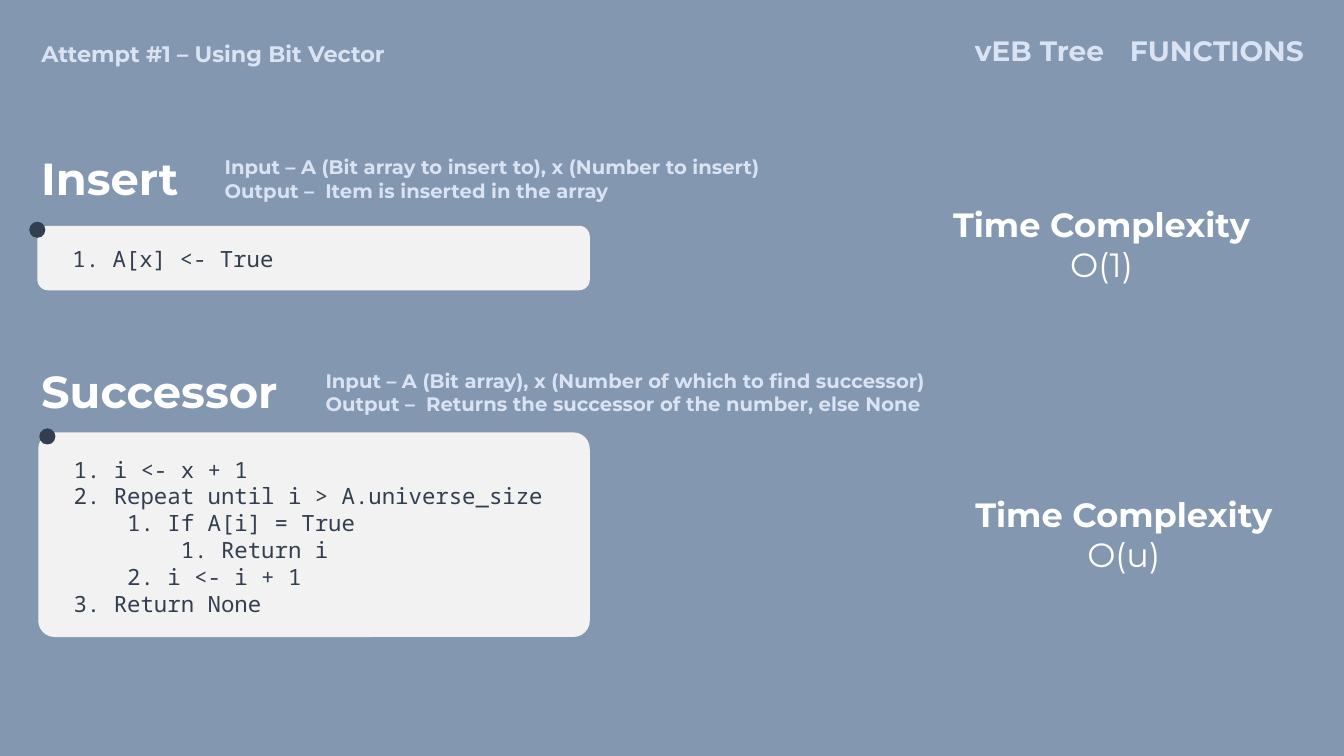
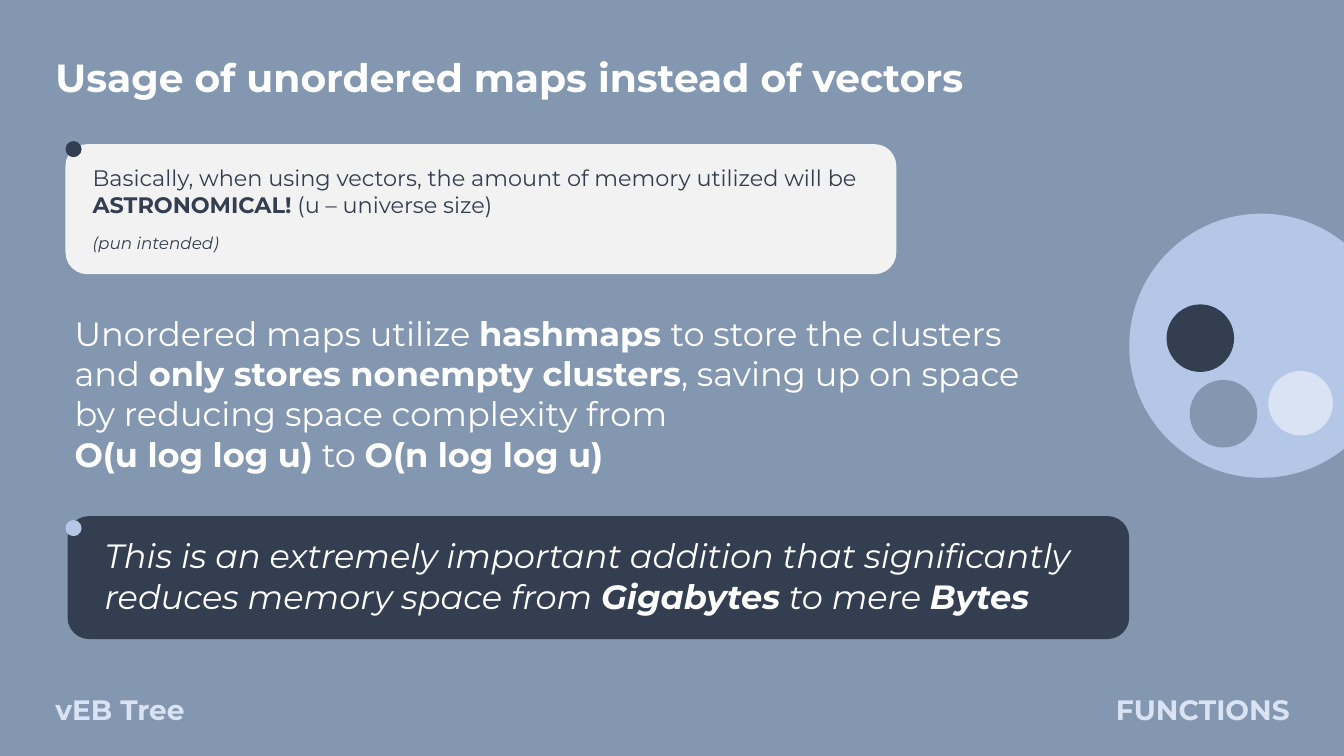
from dataclasses import dataclass
from typing import NamedTuple

from pptx import Presentation
from pptx.dml.color import RGBColor
from pptx.enum.shapes import MSO_SHAPE
from pptx.enum.text import MSO_ANCHOR, MSO_AUTO_SIZE, PP_ALIGN
from pptx.oxml.xmlchemy import OxmlElement
from pptx.util import Inches, Pt

BLUE_GREY, NAVY, PAPER = "8497B0", "333F50", "F2F2F2"
WHITE, PALE, SKY = "FFFFFF", "DAE3F3", "B4C7E7"


class Area(NamedTuple):
    """Left, top, width and height in inches."""
    left: float
    top: float
    width: float
    height: float


@dataclass(frozen=True)
class Style:
    """Look of a block of text."""
    size: int
    color: str
    bold: bool = False
    italic: bool = False
    name: str = "Montserrat"
    align: PP_ALIGN = PP_ALIGN.LEFT


@dataclass(frozen=True)
class Text:
    """Lines of text, with double asterisks around bold words."""
    area: Area
    style: Style
    lines: tuple[str, ...]


@dataclass(frozen=True)
class Form:
    """A filled preset shape."""
    area: Area
    color: str
    kind: MSO_SHAPE = MSO_SHAPE.OVAL
    corner: float | None = None


CAPTION = Style(16, PALE, bold=True)
TITLE = Style(28, WHITE, bold=True)
HEADING = Style(32, WHITE, bold=True)
DETAIL = Style(14, PALE, bold=True)
COMPLEXITY = Style(24, WHITE, align=PP_ALIGN.CENTER)
CODE = Style(16, NAVY, name="Noto Sans Mono")
BODY = Style(24, WHITE)
REMARK = Style(16, NAVY)
ASIDE = Style(12, NAVY, italic=True)
QUOTE = Style(24, WHITE, italic=True)
LABEL = Style(20, PALE, bold=True)
LABEL_RIGHT = Style(20, PALE, bold=True, align=PP_ALIGN.RIGHT)


def rgb(color: str) -> RGBColor:
    """Turn a hex string into a colour."""
    return RGBColor.from_string(color)


def set_values(target, values: dict) -> None:
    """Set each named attribute of the target."""
    for name, value in values.items():
        setattr(target, name, value)


def fill_text(box, text: Text) -> None:
    """Place a box and write its formatted paragraphs."""
    style, frame = text.style, box.text_frame
    set_values(box, {key: Inches(value) for key, value in text.area._asdict().items()})
    set_values(frame, {"word_wrap": True, "vertical_anchor": MSO_ANCHOR.TOP,
                       "auto_size": MSO_AUTO_SIZE.SHAPE_TO_FIT_TEXT})
    for index, line in enumerate(text.lines):
        para = frame.add_paragraph() if index else frame.paragraphs[0]
        if box.is_placeholder:
            properties = para._p.get_or_add_pPr()
            properties.set("marL", "0")
            properties.set("indent", "0")
            properties.append(OxmlElement("a:buNone"))
        set_values(para, {"alignment": style.align, "space_before": Pt(0)})
        for position, words in enumerate(line.split("**")):
            if words:
                span = para.add_run()
                span.text = words
                set_values(span.font, {"name": style.name, "size": Pt(style.size),
                                       "bold": style.bold or position % 2 == 1,
                                       "italic": style.italic})
                span.font.color.rgb = rgb(style.color)


def add_text(page, text: Text) -> None:
    """Add a text box."""
    fill_text(page.shapes.add_textbox(*map(Inches, text.area)), text)


def add_form(page, form: Form) -> None:
    """Add a plain filled shape."""
    shape = page.shapes.add_shape(form.kind, *map(Inches, form.area))
    shape.shadow.inherit = False
    shape.fill.solid()
    shape.fill.fore_color.rgb = rgb(form.color)
    shape.line.fill.background()
    if form.corner is not None:
        shape.adjustments[0] = form.corner


def card(area: Area, color: str, corner: float | None = None) -> Form:
    """Describe a rounded panel."""
    return Form(area, color, MSO_SHAPE.ROUNDED_RECTANGLE, corner)


def circle(left: float, top: float, size: float, color: str) -> Form:
    """Describe a round shape."""
    return Form(Area(left, top, size, size), color)


def dot(left: float, top: float, color: str = NAVY) -> Form:
    """Describe the small dot on a panel corner."""
    return circle(left, top, 0.16, color)


def add_page(deck, title: Text, body: Text, forms: list[Form], texts: list[Text],
             topic_left: float, section_left: float, label_top: float) -> None:
    """Add a slide with its title, body, shapes, texts and running labels."""
    page = deck.slides.add_slide(deck.slide_layouts[1])
    for form in forms:
        add_form(page, form)
    fill_text(page.shapes.title, title)
    fill_text(page.placeholders[1], body)
    for placeholder in page.placeholders:
        page.shapes._spTree.append(placeholder._element)
    labels = [Text(Area(topic_left, label_top, 1.49, 0.44), LABEL, ("vEB Tree",)),
              Text(Area(section_left, label_top, 2.02, 0.44), LABEL_RIGHT, ("FUNCTIONS",))]
    for text in texts + labels:
        add_text(page, text)


def add_bit_vector_page(deck) -> None:
    """Add the slide on insert and successor with a bit vector."""
    add_page(
        deck,
        Text(Area(0.31, 0.35, 3.73, 0.37), CAPTION, ("Attempt #1 – Using Bit Vector",)),
        Text(Area(0.63, 4.47, 5.31, 1.72), CODE, (
            "1. i <- x + 1",
            "2. Repeat until i > A.universe_size",
            "    1. If A[i] = True",
            "        1. Return i",
            "    2. i <- i + 1",
            "3. Return None")),
        [card(Area(0.37, 2.24, 5.48, 0.64), PAPER), dot(0.29, 2.2),
         card(Area(0.38, 4.29, 5.47, 2.03), PAPER, 0.08), dot(0.39, 4.25)],
        [Text(Area(0.31, 1.45, 3.73, 0.64), HEADING, ("Insert",)),
         Text(Area(2.13, 1.49, 6.83, 0.57), DETAIL, (
             "Input – A (Bit array to insert to), x (Number to insert)",
             "Output –  Item is inserted in the array")),
         Text(Area(0.62, 2.38, 2.36, 0.37), CODE, ("1. A[x] <- True",)),
         Text(Area(8.96, 1.97, 3.93, 0.91), COMPLEXITY, ("**Time Complexity**", "O(1)")),
         Text(Area(0.31, 3.56, 3.73, 0.64), HEADING, ("Successor",)),
         Text(Area(3.13, 3.61, 6.45, 0.57), DETAIL, (
             "Input – A (Bit array), x (Number of which to find successor)",
             "Output –  Returns the successor of the number, else None")),
         Text(Area(9.1, 4.85, 4.09, 0.91), COMPLEXITY, ("**Time Complexity**", "O(u)"))],
        topic_left=9.57, section_left=11.01, label_top=0.28)


def add_unordered_map_page(deck) -> None:
    """Add the slide on unordered maps."""
    add_page(
        deck,
        Text(Area(0.45, 0.48, 9.74, 0.57), TITLE,
             ("Usage of unordered maps instead of vectors",)),
        Text(Area(0.64, 3.05, 9.95, 1.72), BODY, (
            "Unordered maps utilize **hashmaps **to store the clusters and "
            "**only stores nonempty clusters**, saving up on space by reducing "
            "space complexity from",
            "**O(u log log u)** to **O(n log log u)**")),
        [card(Area(0.67, 5.12, 10.53, 1.22), NAVY, 0.175), dot(0.65, 5.16, SKY),
         card(Area(0.65, 1.43, 8.24, 1.29), PAPER), dot(0.65, 1.4),
         circle(11.2, 2.12, 2.62, SKY), circle(11.8, 3.77, 0.67, BLUE_GREY),
         circle(12.58, 3.68, 0.64, PALE), circle(11.57, 3.02, 0.67, NAVY)],
        [Text(Area(0.82, 1.58, 7.81, 0.64), REMARK, (
            "Basically, when using vectors, the amount of memory utilized will be "
            "**ASTRONOMICAL!** (u – universe size)",)),
         Text(Area(0.82, 2.26, 1.88, 0.3), ASIDE, ("(pun intended)",)),
         Text(Area(0.94, 5.26, 9.95, 0.91), QUOTE, (
             "This is an extremely important addition that significantly reduces "
             "memory space from **Gigabytes** to mere **Bytes**",))],
        topic_left=0.45, section_left=10.87, label_top=6.82)


def main() -> None:
    """Build and save the deck."""
    deck = Presentation()
    set_values(deck, {"slide_width": Inches(13.33), "slide_height": Inches(7.5)})
    background = deck.slide_master.background.fill
    background.solid()
    background.fore_color.rgb = rgb(BLUE_GREY)
    add_bit_vector_page(deck)
    add_unordered_map_page(deck)
    deck.save("out.pptx")


if __name__ == "__main__":
    main()
